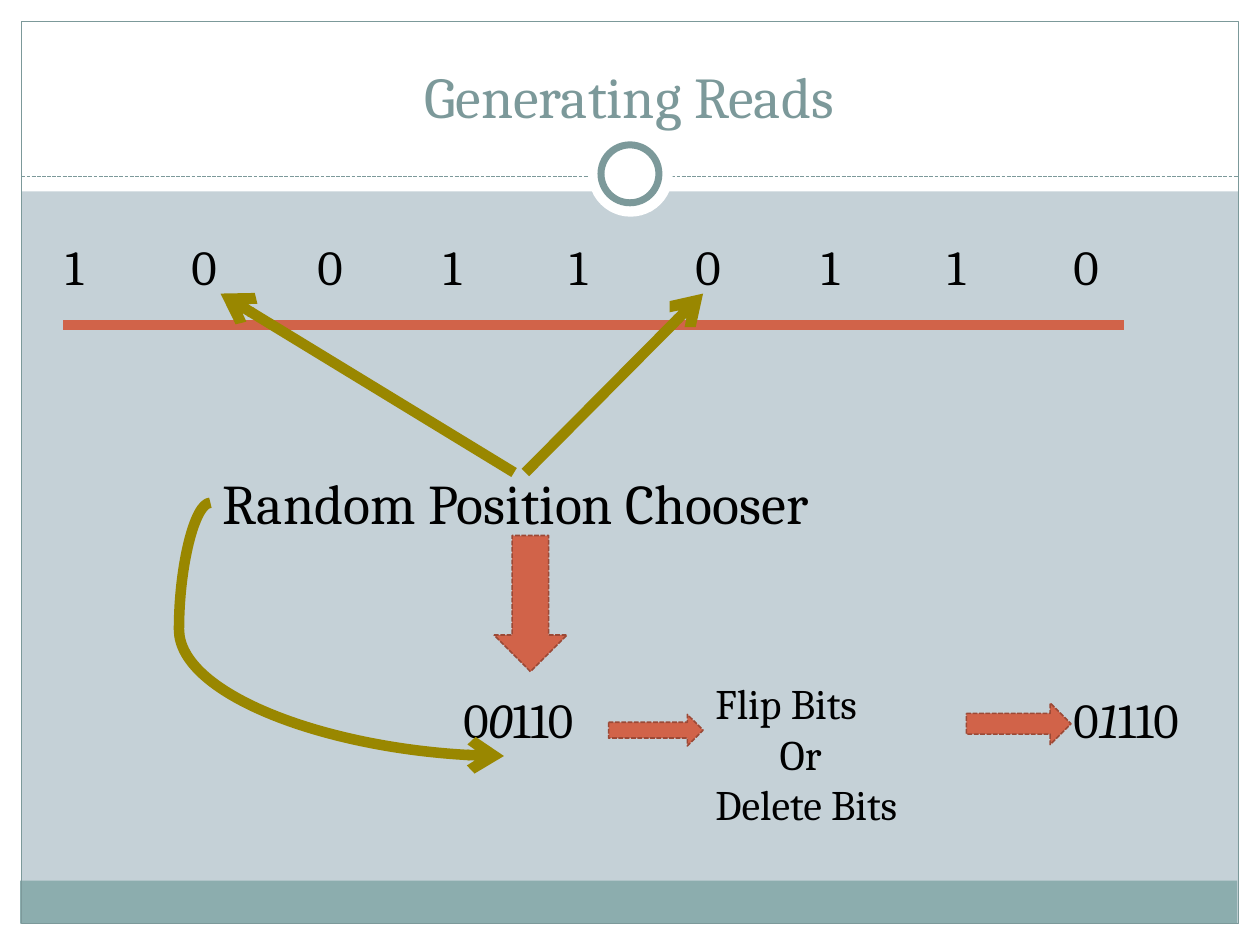
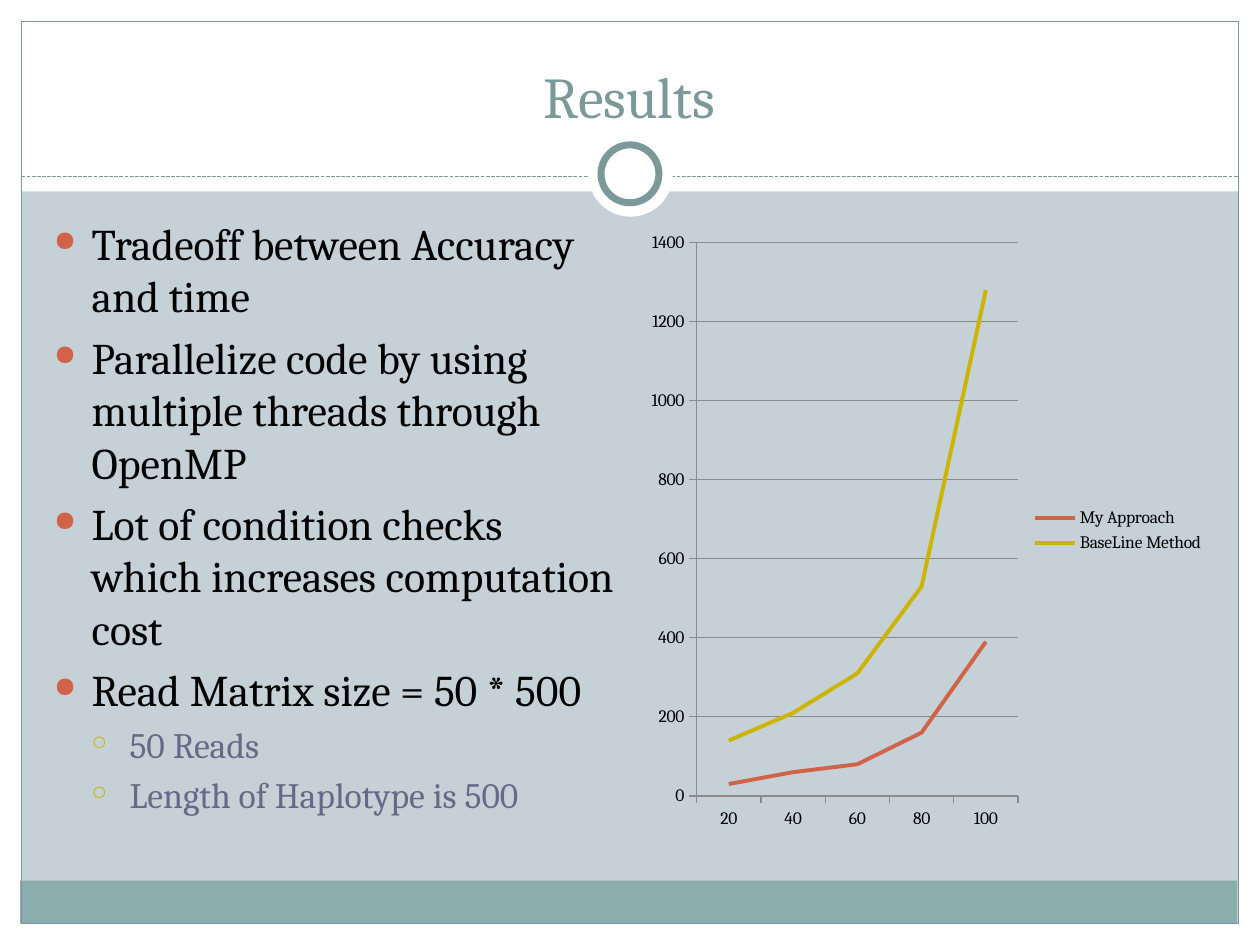
from dataclasses import dataclass

from lxml import etree
from pptx import Presentation
from pptx.chart.data import CategoryChartData
from pptx.dml.color import RGBColor
from pptx.enum.chart import XL_CHART_TYPE, XL_LEGEND_POSITION, XL_MARKER_STYLE
from pptx.enum.dml import MSO_LINE
from pptx.enum.shapes import MSO_CONNECTOR, MSO_SHAPE
from pptx.enum.text import MSO_ANCHOR, PP_ALIGN
from pptx.oxml.ns import qn
from pptx.util import Inches, Pt

RECT, OVAL = MSO_SHAPE.RECTANGLE, MSO_SHAPE.OVAL
DOWN, RIGHT = MSO_SHAPE.DOWN_ARROW, MSO_SHAPE.RIGHT_ARROW
STRAIGHT, CURVE = MSO_CONNECTOR.STRAIGHT, MSO_CONNECTOR.CURVE
DASH = MSO_LINE.SQUARE_DOT
LEFT, CENTER, JUSTIFY = PP_ALIGN.LEFT, PP_ALIGN.CENTER, PP_ALIGN.JUSTIFY
TOP, BOTTOM = MSO_ANCHOR.TOP, MSO_ANCHOR.BOTTOM
LINE_CHART = XL_CHART_TYPE.LINE
LEGEND_RIGHT = XL_LEGEND_POSITION.RIGHT
NO_MARKER = XL_MARKER_STYLE.NONE


@dataclass(frozen=True)
class Theme:
    """Colours, font and type sizes of the deck."""

    font: str = "Cambria"
    background: str = "C5D1D7"
    white: str = "FFFFFF"
    text: str = "000000"
    subtext: str = "646B86"
    frame: str = "7C999A"
    band: str = "8CADAE"
    accent: str = "D16349"
    accent_edge: str = "9B4936"
    gold: str = "CCB400"
    pointer: str = "998700"
    axis: str = "8B8B8B"
    title_size: float = 33
    chooser_size: float = 32
    bits_size: float = 28
    step_size: float = 24
    body_size: float = 25
    sub_size: float = 20.4
    chart_size: float = 10


T = Theme()


def rgb(color):
    """Turn a hex string into a colour."""
    return RGBColor.from_string(color)


def style_line(line, color, width, dash=None):
    """Set colour, width and dash of a line."""
    line.color.rgb = rgb(color)
    line.width = Pt(width)
    if dash:
        line.dash_style = dash


def add_shape(s, kind, x, y, w, h, fill=None, line=None, width=0.75, dash=None):
    """Add a preset shape with optional fill and outline."""
    sp = s.shapes.add_shape(kind, Inches(x), Inches(y), Inches(w), Inches(h))
    sp.shadow.inherit = False
    if fill:
        sp.fill.solid()
        sp.fill.fore_color.rgb = rgb(fill)
    else:
        sp.fill.background()
    if line:
        style_line(sp.line, line, width, dash)
    else:
        sp.line.fill.background()
    return sp


def add_line(s, start, end, color, width, dash=None, arrow=False, bend=None):
    """Add a straight line, or a curve whose bend is a share of its width."""
    kind = STRAIGHT if bend is None else CURVE
    points = [Inches(v) for v in (*start, *end)]
    cn = s.shapes.add_connector(kind, *points)
    style_line(cn.line, color, width, dash)
    sp_pr = cn._element.spPr
    if arrow:
        etree.SubElement(sp_pr.find(qn("a:ln")), qn("a:tailEnd"), type="arrow")
    if bend is not None:
        guides = sp_pr.find(qn("a:prstGeom")).find(qn("a:avLst"))
        etree.SubElement(guides, qn("a:gd"), name="adj1",
                         fmla=f"val {round(bend * 100000)}")
    etree.SubElement(sp_pr, qn("a:effectLst"))
    return cn


def add_run(p, text, size, color=T.text, italic=False):
    """Add a formatted run to a paragraph."""
    r = p.add_run()
    r.text = text
    r.font.name = T.font
    r.font.size = Pt(size)
    r.font.color.rgb = rgb(color)
    r.font.italic = italic


def text_frame(s, x, y, w, h, anchor=TOP):
    """Add an empty wrapping text box and return its frame."""
    tf = s.shapes.add_textbox(Inches(x), Inches(y), Inches(w), Inches(h)).text_frame
    tf.word_wrap = True
    tf.vertical_anchor = anchor
    return tf


def add_text(s, text, x, y, w, h, size, color=T.text, align=LEFT, anchor=TOP):
    """Add a one-paragraph text box and return its paragraph."""
    p = text_frame(s, x, y, w, h, anchor).paragraphs[0]
    p.alignment = align
    add_run(p, text, size, color)
    return p


def set_tabs(p, step, count):
    """Give a paragraph evenly spaced left tab stops."""
    tabs = etree.SubElement(p._p.get_or_add_pPr(), qn("a:tabLst"))
    for i in range(1, count + 1):
        etree.SubElement(tabs, qn("a:tab"), pos=str(Inches(step * i)), algn="l")


def add_read(s, x, before, changed, after):
    """Add a short read with its chosen bit in italics."""
    p = text_frame(s, x, 5.42, 1.33, 0.57).paragraphs[0]
    for text, italic in ((before, False), (changed, True), (after, False)):
        add_run(p, text, T.bits_size, italic=italic)


def set_indent(p, left, hanging=0):
    """Set the left margin and hanging indent of a paragraph."""
    p_pr = p._p.get_or_add_pPr()
    p_pr.set("marL", str(Inches(left)))
    p_pr.set("indent", str(-Inches(hanging)))
    return p_pr


def add_bullet(p, text, level):
    """Fill a paragraph as a bullet of the given level."""
    mark, mark_color, mark_size, size, color = (
        ("●", T.accent, 65, T.body_size, T.text),
        ("○", T.gold, 55, T.sub_size, T.subtext),
    )[level]
    p.level = level
    p.space_before = Pt(size * 0.2)
    p_pr = set_indent(p, 0.3 * (level + 1), 0.3)
    bu_color = etree.SubElement(p_pr, qn("a:buClr"))
    etree.SubElement(bu_color, qn("a:srgbClr"), val=mark_color)
    etree.SubElement(p_pr, qn("a:buSzPct"), val=str(mark_size * 1000))
    etree.SubElement(p_pr, qn("a:buChar"), char=mark)
    add_run(p, text, size, color)


def add_arrow(s, kind, x, y, w, h):
    """Add a block arrow with a dashed edge."""
    add_shape(s, kind, x, y, w, h, T.accent, T.accent_edge, 0.9, DASH)


def add_slide(prs, title):
    """Add a slide with the shared frame, bands, ring and title."""
    s = prs.slides.add_slide(prs.slide_layouts[6])
    s.background.fill.solid()
    s.background.fill.fore_color.rgb = rgb(T.background)
    for box in ((0, 7.33, 10, 0.17), (0, 0, 10, 1.52),
                (0, 0, 0.17, 7.5), (9.83, 0, 0.17, 7.5)):
        add_shape(s, RECT, *box, fill=T.white)
    add_shape(s, RECT, 0.16, 6.99, 9.66, 0.34, fill=T.band)
    add_shape(s, RECT, 0.17, 0.17, 9.66, 7.16, line=T.frame)
    add_line(s, (0.17, 1.4), (9.83, 1.4), T.frame, 0.75, DASH)
    add_shape(s, OVAL, 4.67, 1.05, 0.67, 0.67, fill=T.white)
    add_shape(s, OVAL, 4.77, 1.15, 0.46, 0.46, T.white, T.frame, 4)
    add_text(s, title, 0.33, 0.25, 9.33, 0.83, T.title_size, T.frame, CENTER, BOTTOM)
    return s


def add_line_chart(s, x, y, w, h, categories, series):
    """Add a line chart from (name, values, colour) series."""
    data = CategoryChartData()
    data.categories = categories
    for name, values, _ in series:
        data.add_series(name, values)
    chart = s.shapes.add_chart(LINE_CHART, Inches(x), Inches(y), Inches(w),
                               Inches(h), data).chart
    chart.has_title = False
    chart.font.name = T.font
    chart.font.size = Pt(T.chart_size)
    chart.font.color.rgb = rgb(T.text)
    chart.has_legend = True
    chart.legend.position = LEGEND_RIGHT
    chart.legend.include_in_layout = False
    plot = chart.plots[0]
    plot.vary_by_categories = False
    for line, (_, _, color) in zip(plot.series, series):
        line.smooth = False
        line.marker.style = NO_MARKER
        style_line(line.format.line, color, 2.25)
    chart.value_axis.has_major_gridlines = True
    for part in (chart.category_axis, chart.value_axis,
                 chart.value_axis.major_gridlines):
        style_line(part.format.line, T.axis, 0.75)


def build_reads(prs):
    """Build the slide on generating reads."""
    s = add_slide(prs, "Generating Reads")
    add_line(s, (0.5, 2.58), (8.92, 2.58), T.accent, 6)
    bits = "100110110"
    p = add_text(s, "\t".join(bits), 0.42, 1.83, 8.83, 0.57, T.bits_size,
                 align=JUSTIFY)
    set_tabs(p, 1, len(bits) - 1)
    add_text(s, "Random Position Chooser", 1.67, 3.67, 5.58, 0.64, T.chooser_size)
    for start, end in (((4.17, 3.75), (5.58, 2.33)), ((4.08, 3.75), (1.75, 2.33))):
        add_line(s, start, end, T.pointer, 6, arrow=True)
    add_arrow(s, DOWN, 3.92, 4.25, 0.58, 1.08)
    add_read(s, 3.58, "0", "0", "110")
    add_line(s, (1.67, 3.99), (4, 6), T.pointer, 6, arrow=True, bend=-0.107)
    add_arrow(s, RIGHT, 7.67, 5.58, 0.83, 0.33)
    add_read(s, 8.42, "0", "1", "110")
    tf = text_frame(s, 5.58, 5.33, 2, 1.31)
    for i, (text, indent) in enumerate((("Flip Bits", 0), ("Or", 0.51),
                                        ("Delete Bits", 0))):
        p = tf.add_paragraph() if i else tf.paragraphs[0]
        set_indent(p, indent)
        add_run(p, text, T.step_size)
    add_arrow(s, RIGHT, 4.83, 5.67, 0.75, 0.25)


def build_results(prs):
    """Build the slide on results."""
    s = add_slide(prs, "Results")
    tf = text_frame(s, 0.33, 1.67, 4.67, 4.92)
    bullets = (
        ("Tradeoff between Accuracy and time", 0),
        ("Parallelize code by using multiple threads through OpenMP", 0),
        ("Lot of condition checks which increases computation cost", 0),
        ("Read Matrix size = 50 * 500", 0),
        ("50 Reads", 1),
        ("Length of Haplotype is 500", 1),
    )
    for i, (text, level) in enumerate(bullets):
        add_bullet(tf.add_paragraph() if i else tf.paragraphs[0], text, level)
    add_line_chart(s, 5.08, 1.75, 4.58, 4.92, ("20", "40", "60", "80", "100"), (
        ("My Approach", (30, 60, 80, 160, 390), T.accent),
        ("BaseLine Method", (140, 210, 310, 530, 1280), T.gold),
    ))


def main():
    """Build and save the deck."""
    prs = Presentation()
    prs.slide_width, prs.slide_height = Inches(10), Inches(7.5)
    build_reads(prs)
    build_results(prs)
    prs.save("out.pptx")


if __name__ == "__main__":
    main()
